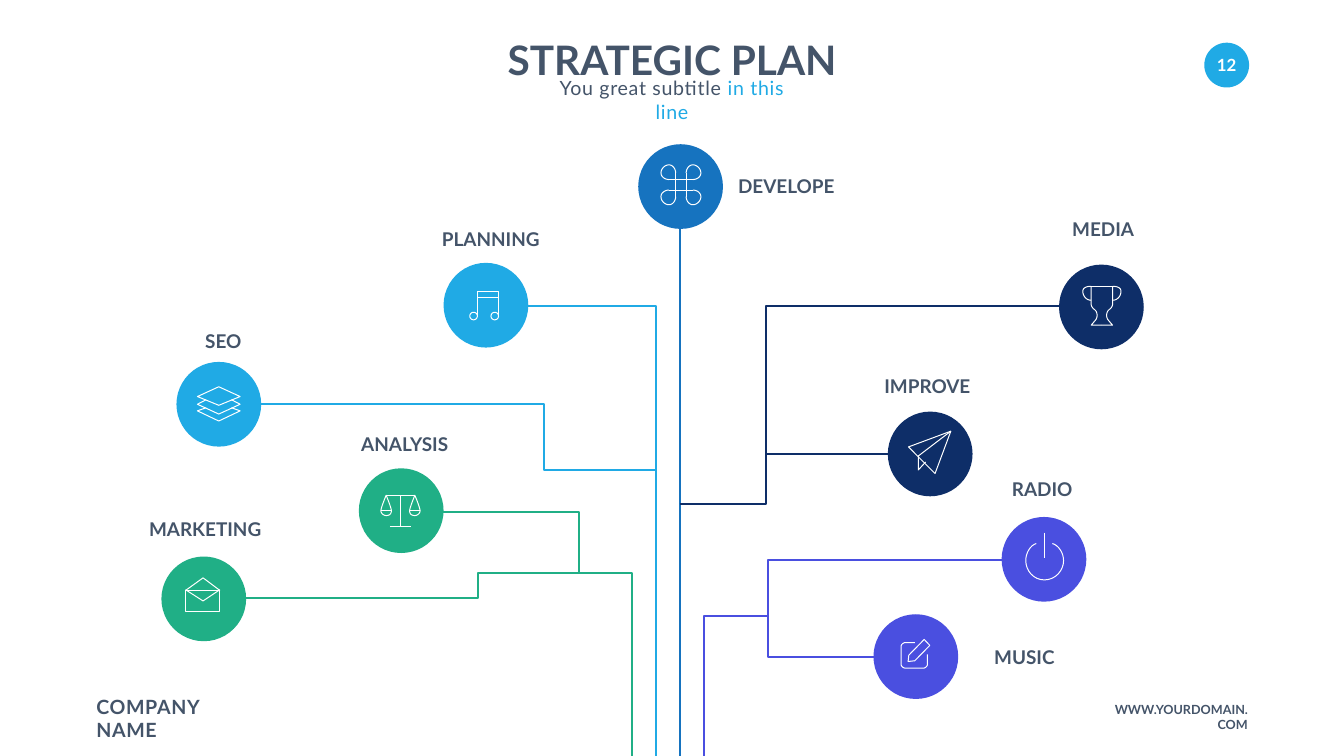
import math

from lxml import etree
from pptx import Presentation
from pptx.dml.color import RGBColor
from pptx.enum.shapes import MSO_CONNECTOR, MSO_SHAPE
from pptx.enum.text import MSO_ANCHOR, PP_ALIGN
from pptx.oxml.ns import qn
from pptx.util import Pt

LEFT, CENTER, RIGHT = PP_ALIGN.LEFT, PP_ALIGN.CENTER, PP_ALIGN.RIGHT
MIDDLE = MSO_ANCHOR.MIDDLE
OVAL, STRAIGHT = MSO_SHAPE.OVAL, MSO_CONNECTOR.STRAIGHT
W, H = 1919.52, 1080
RADIUS = 60.5
TEXT, WHITE = "445469", "FFFFFF"
SKY, GREEN, BLUE, NAVY, VIOLET = "20AAE5", "20AF86", "1673BF", "0E2E68", "4A4FE0"


def rgb(color):
    return RGBColor.from_string(color)


def write(tf, runs, size, align=CENTER, bold=True, spacing=0, inset=(0, 0)):
    """Fill a text frame with one paragraph of (text, colour) runs."""
    dx, dy = (Pt(v) for v in inset)
    frame = dict(word_wrap=True, vertical_anchor=MIDDLE, margin_left=dx,
                 margin_right=dx, margin_top=dy, margin_bottom=dy)
    for name, value in frame.items():
        setattr(tf, name, value)
    p = tf.paragraphs[0]
    p.alignment = align
    for text, color in runs:
        r = p.add_run()
        r.text = text
        for name, value in dict(name="Lato", size=Pt(size), bold=bold).items():
            setattr(r.font, name, value)
        r.font.color.rgb = rgb(color)
        if spacing:
            r._r.get_or_add_rPr().set("spc", str(spacing * 100))


def textbox(s, box, runs, size, **fmt):
    tb = s.shapes.add_textbox(*(Pt(v) for v in box))
    write(tb.text_frame, runs, size, **fmt)


def disc(s, cx, cy, radius, color):
    sp = s.shapes.add_shape(OVAL, Pt(cx - radius), Pt(cy - radius),
                            Pt(2 * radius), Pt(2 * radius))
    sp.shadow.inherit = False
    sp.fill.solid()
    sp.fill.fore_color.rgb = rgb(color)
    sp.line.fill.background()
    return sp


def flatten(stroke, steps=8):
    """Turn (x, y) points and six-number Bezier steps into plain points."""
    points = []
    for step in stroke:
        if len(step) == 2:
            points.append(step)
            continue
        knots = [points[-1], step[:2], step[2:4], step[4:]]
        for i in range(1, steps + 1):
            t = i / steps
            weights = ((1 - t) ** 3, 3 * t * (1 - t) ** 2, 3 * t * t * (1 - t), t ** 3)
            points.append(tuple(sum(w * k[a] for w, k in zip(weights, knots))
                                for a in (0, 1)))
    return points


def draw(shapes, stroke, x, y, color, width):
    """Draw a stroke relative to (x, y): a connector or an open outline."""
    pts = [(Pt(x + px), Pt(y + py)) for px, py in flatten(stroke)]
    straight = len(pts) == 2
    if straight:
        sp = shapes.add_connector(STRAIGHT, *pts[0], *pts[1])
    else:
        fb = shapes.build_freeform(*pts[0], scale=1.0)
        fb.add_line_segments(pts[1:], close=False)
        sp = fb.convert_to_shape()
        sp.fill.background()
    sp.line.color.rgb = rgb(color)
    sp.line.width = Pt(width)
    if straight:
        etree.SubElement(sp._element.spPr, qn("a:effectLst"))
    else:
        sp.shadow.inherit = False


def mirror(strokes, axis, across=0):
    """Return the strokes with their reflections (across 0: x, 1: y)."""
    flip = [[tuple(2 * axis - v if i % 2 == across else v for i, v in enumerate(step))
             for step in stroke] for stroke in strokes]
    return strokes + flip


def ring(cx, cy, r, n=24):
    return [(cx + r * math.cos(2 * math.pi * i / n),
             cy + r * math.sin(2 * math.pi * i / n)) for i in range(n + 1)]


# Icon strokes, relative to the centre of their disc
LOOP = [(-16.5, -10), (-22.5, -10, -28, -14, -28, -19.5),
        (-28, -25.5, -22.5, -31, -16.5, -31), (-11, -31, -7, -25, -7, -19.5)]
PAN = [(-14, 0), (-14, -4, -21.5, -22, -21.5, -22), (-21.5, -22, -29, -4, -29, 0),
       (-29, 4, -25, 7, -21.5, 7), (-16, 7, -14, 4, -14, 0)]
CUP = [(-14.5, -29.5), (-14.5, -3.5), (-14.5, -1.5, -12.5, 2, -10, 3.5),
       (-5, 7, -5, 15, -8.5, 19), (-14.5, 26), (0.75, 26)]
HANDLE = [(-14.5, -9.5), (-21, -9.5, -26.5, -15, -26.5, -22.5),
          (-26.5, -27.5, -21, -29.5, -14.5, -29.5)]
COMMAND = (mirror(mirror([LOOP], 0.5), -2.5, 1) + mirror([[(-7, -19.5), (-7, 14.5)]], 0.5)
           + mirror([[(-16.5, -10), (17.5, -10)]], -2.5, 1))
NOTES = [ring(-17.6, 15.5, 5.4), ring(12.6, 15.5, 5.4),
         [(-11.5, 15.5), (-11.5, -20), (18, -20), (18, 15.5)],
         [(-11.5, -11.5), (18, -11.5)]]
LAYERS = [[(0, -25), (-30.5, -11), (0, 1.5), (30.5, -11), (0, -25)],
          [(18, -6.5), (30.5, 0), (0, 14), (-30.5, 0), (-18, -6.5)],
          [(18, 5), (30.5, 9.5), (0, 24), (-30.5, 9.5), (-18, 5)]]
SCALES = mirror([PAN, [(-29, 0), (-14, 0)]], -1) + [
    [(-21.5, -22), (19.5, -22)], [(-1, -22), (-1, 22.5)], [(-16, 22.5), (14, 22.5)]]
ENVELOPE = [[(23, 18), (-26, 18), (-26, -12), (23, -12), (23, 18)],
            [(-26, -13), (-1, 3), (23, -13)], [(-26, -12), (-1, -30), (23, -12)]]
TROPHY = mirror([CUP, HANDLE], 0.75) + [[(-14.5, -29.5), (16, -29.5)]]
PLANE = [[(29.5, -32.5), (7, 28), (-31, -10), (29.5, -32.5)],
         [(29.5, -32.5), (-17, 3), (-17, 23), (-6.5, 11.5)]]
POWER = [[(12, -22.5), (21, -20, 28, -9, 28, 2), (28, 16, 16.5, 29.5, 0.5, 29.5),
          (-15, 29.5, -26, 16, -26, 2), (-26, -9, -19.5, -20, -11, -22.5)],
         [(0.5, -38), (0.5, -2)]]
PENCIL = [[(16.5, -3), (16.5, 11.5), (16.5, 13.5, 13.5, 16.5, 11, 16.5), (-15, 16.5),
           (-18, 16.5, -21, 13.5, -21, 11.5), (-21, -15),
           (-21, -17, -18, -20, -15, -20), (-1.5, -20)],
          [(-11, 7), (-10, -2), (12, -24.5), (20, -16), (-1.5, 6), (-11, 7)]]

# Branches: colour, points as (distance from trunk, height on slide)
BRANCHES = [
    (BLUE, [(0.5, 314), (0.5, H)]),
    (SKY, [(-34, H), (-34, 436.5), (-247.5, 436.5)]),
    (SKY, [(-34, 671), (-193, 671), (-193, 577.5), (-619, 577.5)]),
    (GREEN, [(-68, H), (-68, 819), (-287.5, 819), (-287.5, 854.5), (-665, 854.5)]),
    (GREEN, [(-374, 731), (-144, 731), (-144, 819)]),
    (NAVY, [(0, 720.5), (124, 720.5), (124, 436.5), (605, 436.5)]),
    (NAVY, [(379, 648), (124, 648)]),
    (VIOLET, [(34.5, H), (34.5, 880.5), (126, 880.5)]),
    (VIOLET, [(520.5, 799.5), (126, 799.5), (126, 938), (305.5, 938)]),
]
# Nodes: label, colour, icon, centre, label offset, label width
NODES = [
    ("PLANNING", SKY, NOTES, (694, 436), (7, -95), 179),
    ("SEO", SKY, LAYERS, (312.5, 577.5), (6.5, -91), 91),
    ("ANALYSIS", GREEN, SCALES, (573, 729.5), (5, -95), 165),
    ("MARKETING", GREEN, ENVELOPE, (291, 855.5), (2, -100), 201),
    ("DEVELOPE", BLUE, COMMAND, (972, 266.5), (151, -1), 177),
    ("MEDIA", NAVY, TROPHY, (1573, 438.5), (2.5, -111.5), 129),
    ("IMPROVE", NAVY, PLANE, (1328.5, 648.5), (-4, -97), 163),
    ("RADIO", VIOLET, POWER, (1491, 799), (-2.5, -100), 127),
    ("MUSIC", VIOLET, PENCIL, (1308, 938), (155, 0), 125),
]


def header(s, cx, top):
    title = s.shapes.title
    box = dict(left=cx - 237.5, top=top, width=475, height=70.5)
    for name, value in box.items():
        setattr(title, name, Pt(value))
    write(title.text_frame, [("STRATEGIC PLAN", TEXT)], 58)
    textbox(s, (cx - 180, top + 75.5, 360, 34),
            [("You great subtitle ", TEXT), ("in this line", SKY)], 28,
            bold=False, spacing=1)


def frame(s, w, h):
    """Page number and footer, placed from the slide's edges."""
    badge = disc(s, w - 167.5, 93, 32, SKY)
    write(badge.text_frame, [("12", WHITE)], 24)
    textbox(s, (137.5, h - 71, 211, 34), [("COMPANY NAME", TEXT)], 28,
            align=LEFT, spacing=1)
    textbox(s, (w - 337, h - 66, 199.5, 21.5), [("WWW.YOURDOMAIN.COM", TEXT)], 18,
            align=RIGHT)


def node(s, label, color, icon, centre, offset, width):
    x, y = centre
    disc(s, x, y, RADIUS, color)
    group = s.shapes.add_group_shape()
    for stroke in icon:
        draw(group.shapes, stroke, x, y, WHITE, 1.42)
    textbox(s, (x + offset[0] - width / 2, y + offset[1] - 26, width, 52),
            [(label, TEXT)], 27, inset=(12, 9.5))


def tree(s, trunk):
    for color, points in BRANCHES:
        draw(s.shapes, points, trunk, 0, color, 2.75)
    for item in NODES:
        node(s, *item)


prs = Presentation()
prs.slide_width, prs.slide_height = Pt(W), Pt(H)
s = prs.slides.add_slide(prs.slide_layouts[5])
header(s, W / 2, 49.5)
frame(s, W, H)
tree(s, 970.5)
prs.save("out.pptx")
